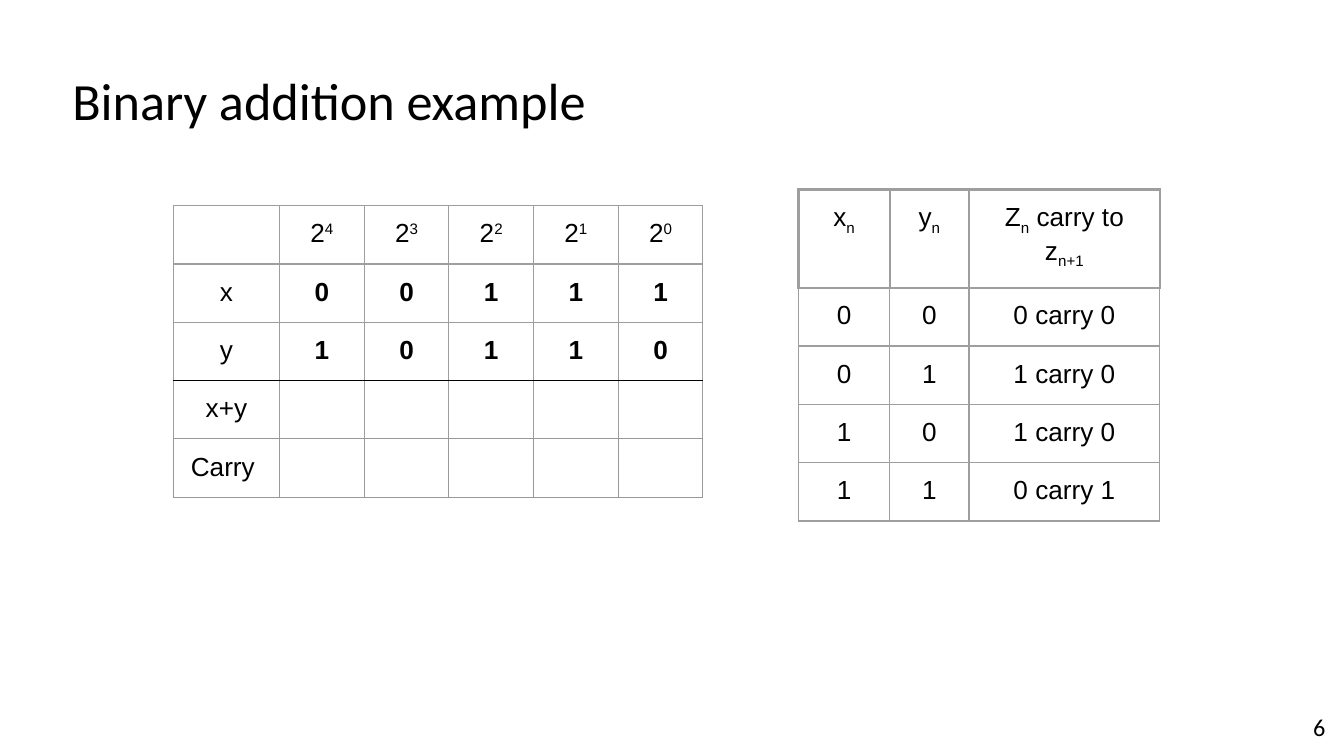
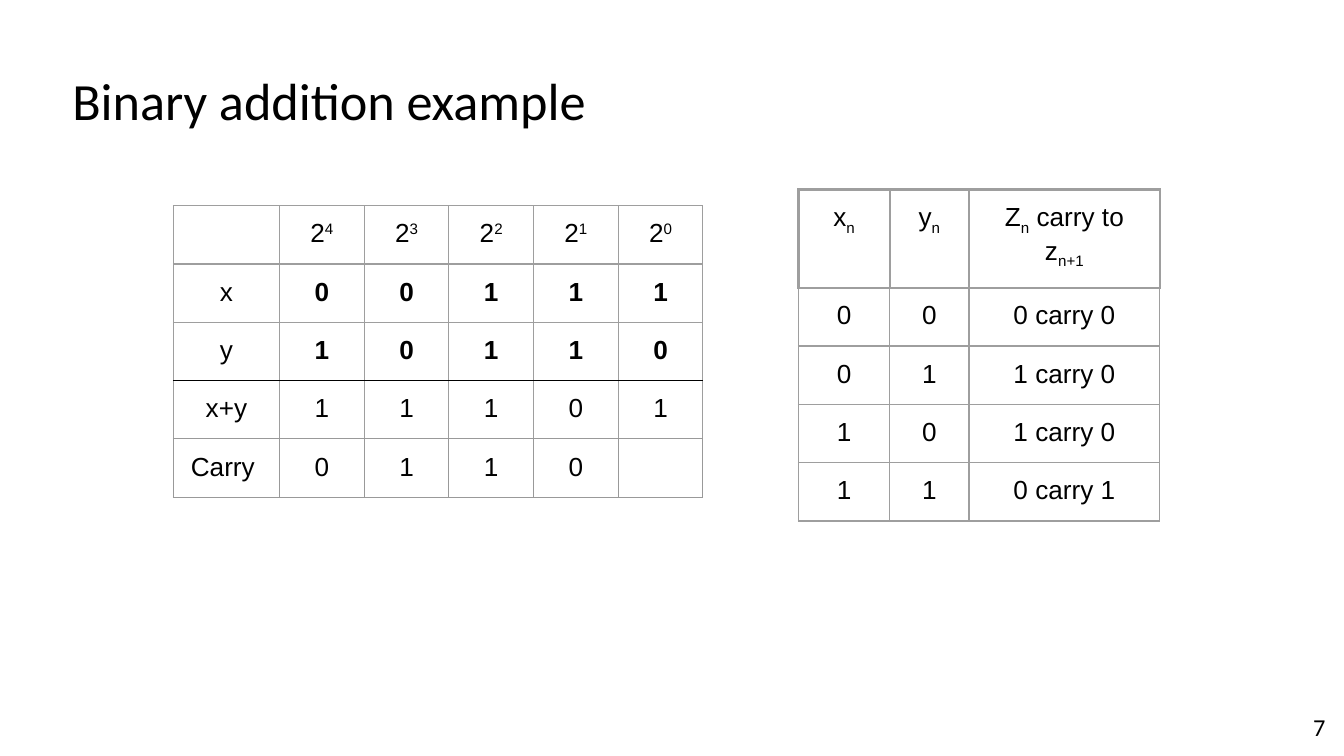
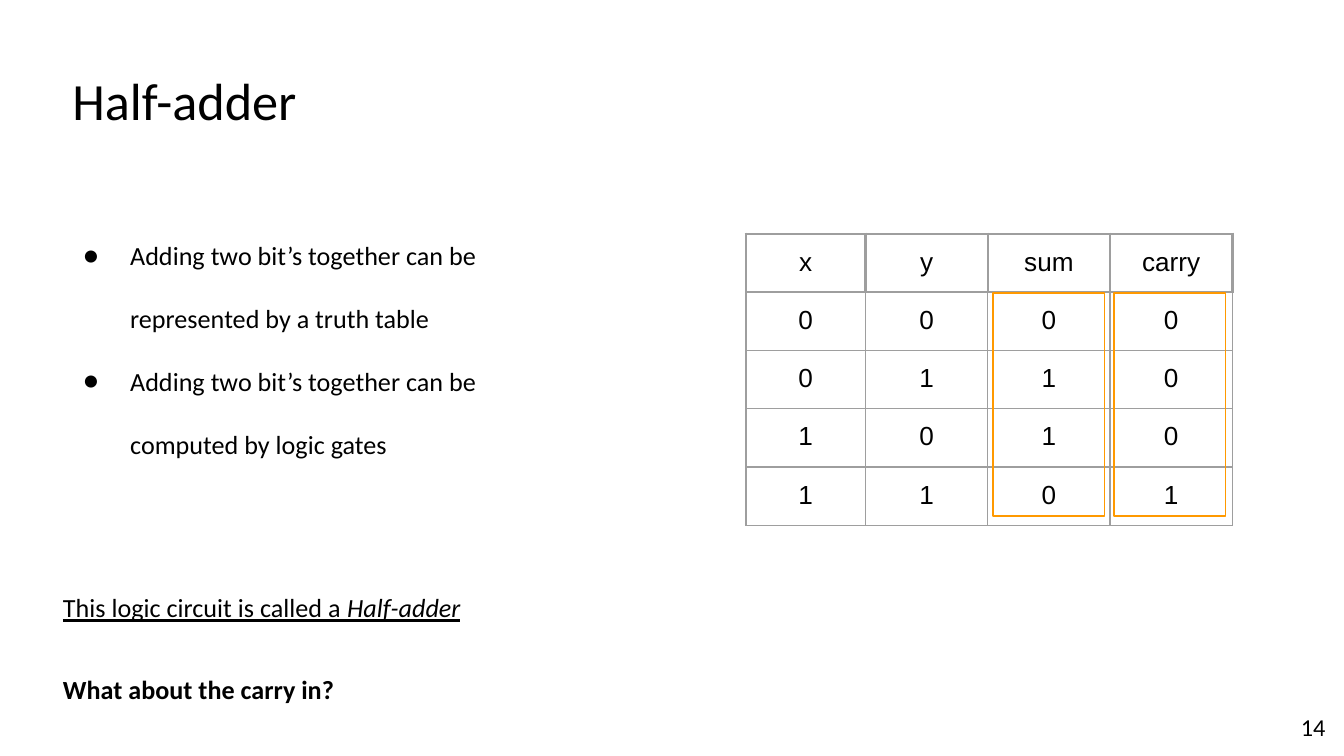
from dataclasses import dataclass

from lxml.etree import SubElement
from pptx import Presentation
from pptx.dml.color import RGBColor
from pptx.enum.shapes import MSO_SHAPE
from pptx.enum.text import MSO_ANCHOR, PP_ALIGN
from pptx.oxml import parse_xml
from pptx.oxml.ns import nsdecls, qn
from pptx.util import Pt

PX = 9144


@dataclass(frozen=True)
class Theme:
    ink: str = "000000"
    line: str = "9E9E9E"
    soft: str = "999999"
    mark: str = "FF9900"
    sans: str = "Calibri"
    cell: str = "Arial"
    head: int = 28
    body: int = 14
    page: int = 13
    thin: float = 0.75
    thick: float = 1.5
    pad: int = 10


T = Theme()
THIN = (T.line, T.thin)
THICK = (T.line, T.thick)
SOFT = (T.soft, T.thin)
RULE = (T.ink, T.thin)
HEADED = dict(rims={0: THICK, 1: THICK}, sides={0: THICK})
SUMMED = dict(rims={3: RULE, 4: SOFT, 5: SOFT}, sides={4: SOFT})
PADS = {f"margin_{side}": T.pad * PX for side in ("left", "right", "top", "bottom")}

WIDE = 1000 * PX
HIGH = WIDE * 9 // 16
TITLE = (44, 41, 636, 68)
PAGE = (936, 519, 60, 43)
SUM = (129, 153, 394, 210)
RULES = (594, 141, 268, 211)
NOTES = (37, 145, 412, 384)
TRUTH = (555, 174, 361, 210)

POWERS = [""] + [("2", str(n)) for n in range(4, -1, -1)]
CARRIES = [
    [("x", "n"), ("y", "n"), ("Z", "n", " carry to z", "n+1")],
    ["0", "0", "0 carry 0"],
    ["0", "1", "1 carry 0"],
    ["1", "0", "1 carry 0"],
    ["1", "1", "0 carry 1"],
]
GATES = [["x", "y", "sum", "carry"], "0000", "0110", "1010", "1101"]


def dress(item, **form):
    for name, value in form.items():
        setattr(item, name, value)


def scale(box):
    return [side * PX for side in box]


def write(para, text, face, size, shift=0, **form):
    run = para.add_run()
    run.text = text
    dress(run.font, name=face, size=Pt(size), **form)
    run.font.color.rgb = RGBColor.from_string(T.ink)
    if shift:
        run.font._element.set("baseline", str(shift))


def frame(slide, box, **form):
    text = slide.shapes.add_textbox(*scale(box)).text_frame
    dress(text, word_wrap=True, **PADS, **form)
    return text


def title(slide, box, text):
    write(frame(slide, box).paragraphs[0], text, T.sans, T.head)


def number(slide, box, text):
    para = frame(slide, box, vertical_anchor=MSO_ANCHOR.MIDDLE).paragraphs[0]
    para.alignment = PP_ALIGN.RIGHT
    write(para, text, T.sans, T.page)


def border(cell, pens):
    props = cell._tc.get_or_add_tcPr()
    for spot, (side, (tint, width)) in enumerate(zip("LRTB", pens)):
        props.insert(spot, parse_xml(
            f'<a:ln{side} {nsdecls("a")} w="{Pt(width)}"><a:solidFill>'
            f'<a:srgbClr val="{tint}"/></a:solidFill></a:ln{side}>'))


def fill(cell, value, shift, bold):
    dress(cell, **PADS)
    cell.fill.background()
    para = cell.text_frame.paragraphs[0]
    para.alignment = PP_ALIGN.CENTER
    if not value:
        SubElement(para._p, qn("a:endParaRPr"), sz=str(T.body * 100))
        return
    parts = [value] if isinstance(value, str) else value
    for spot, part in enumerate(parts):
        write(para, part, T.cell, T.body, shift * (spot % 2), bold=bold)


def grid(slide, box, rows, cols, rims, sides, shift=0, strong=(), first=42):
    table = slide.shapes.add_table(len(rows), len(cols), *scale(box)).table
    dress(table, first_row=False, horz_banding=False)
    for col, width in zip(table.columns, cols):
        col.width = width * PX
    for r, row in enumerate(rows):
        table.rows[r].height = (42 if r else first) * PX
        side = sides.get(r, THIN)
        pens = side, side, rims.get(r, THIN), rims.get(r + 1, THIN)
        for c, value in enumerate(row):
            cell = table.cell(r, c)
            fill(cell, value, shift, r in strong and c > 0)
            border(cell, pens)


def bullet(para):
    props = para._p.get_or_add_pPr()
    props.set("marL", str(50 * PX))
    props.set("indent", str(-35 * PX))
    tint = SubElement(props, qn("a:buClr"))
    SubElement(tint, qn("a:srgbClr"), val=T.ink)
    SubElement(props, qn("a:buSzPts"), val=str(T.body * 100))
    SubElement(props, qn("a:buFont"), typeface=T.sans)
    SubElement(props, qn("a:buChar"), char="●")


def notes(slide, box):
    lines = [
        (10, True, [("Adding two bit’s together can be represented by a truth table", {})]),
        (0, True, [("Adding two bit’s together can be computed by logic gates", {})]),
        (54, False, [("This logic circuit is called a ", dict(underline=True)),
                     ("Half-adder", dict(underline=True, italic=True))]),
        (10, False, [("What about the carry in?", dict(bold=True))]),
    ]
    text = frame(slide, box)
    for spot, (gap, dot, runs) in enumerate(lines):
        para = text.add_paragraph() if spot else text.paragraphs[0]
        dress(para, line_spacing=2.0, space_before=Pt(gap))
        if dot:
            bullet(para)
        for words, form in runs:
            write(para, words, T.sans, T.body, **form)


def truth(slide, box):
    grid(slide, box, GATES, [89, 91, 91, 91], **HEADED)
    left, top = box[:2]
    for col in range(2):
        spot = (left + 184 + 90 * col, top + 44, 83, 166)
        mark = slide.shapes.add_shape(MSO_SHAPE.RECTANGLE, *scale(spot))
        mark.shadow.inherit = False
        mark.fill.background()
        mark.line.color.rgb = RGBColor.from_string(T.mark)
        mark.line.width = Pt(T.thin)


def adding(slide, total, carry):
    title(slide, TITLE, "Binary addition example")
    grid(slide, RULES, CARRIES, [68, 59, 142], shift=-25000, first=43, **HEADED)
    rows = [POWERS, ["x", *"00111"], ["y", *"10110"],
            ["x+y", *total], ["Carry ", *carry]]
    grid(slide, SUM, rows, [79] + [63] * 5, shift=30000, strong=(1, 2), **SUMMED)


def adder(slide):
    notes(slide, NOTES)
    title(slide, TITLE, "Half-adder")
    truth(slide, TRUTH)


def main():
    deck = Presentation()
    dress(deck, slide_width=WIDE, slide_height=HIGH)
    blank = [""] * 5
    pages = [
        ("6", adding, (blank, blank)),
        ("7", adding, ("11101", [*"0110", ""])),
        ("14", adder, ()),
    ]
    for page, build, parts in pages:
        slide = deck.slides.add_slide(deck.slide_layouts[6])
        build(slide, *parts)
        number(slide, PAGE, page)
    deck.save("out.pptx")


if __name__ == "__main__":
    main()
